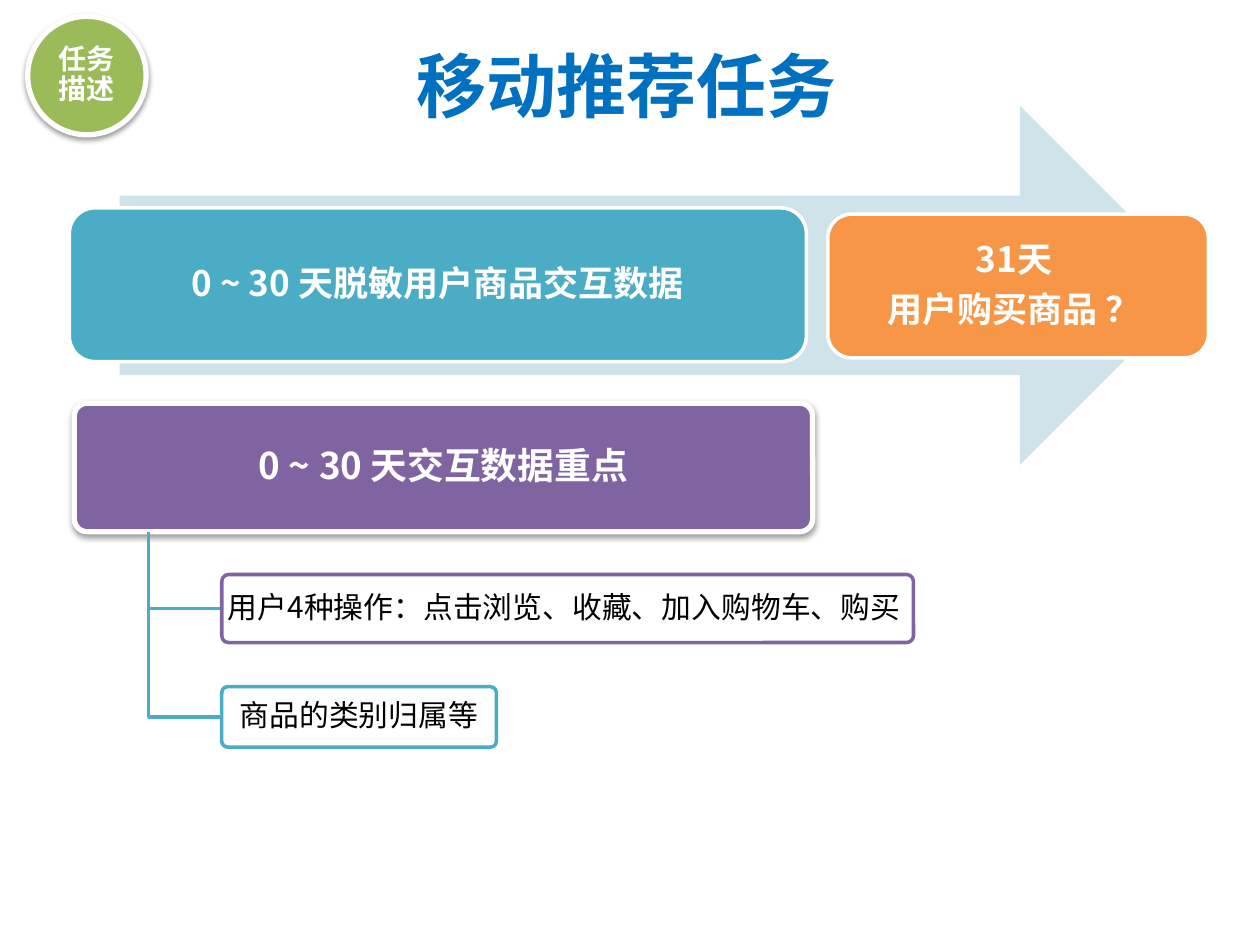
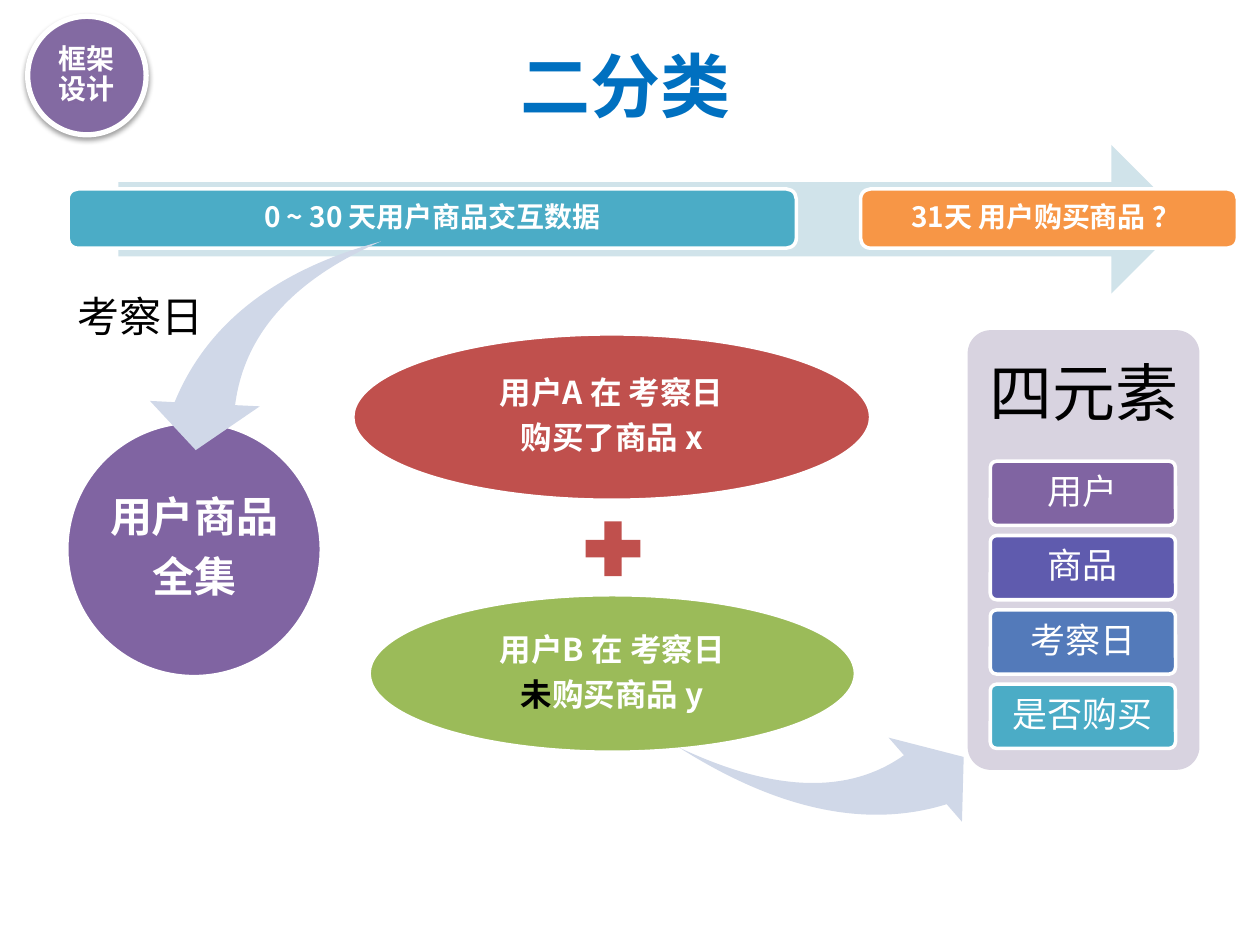
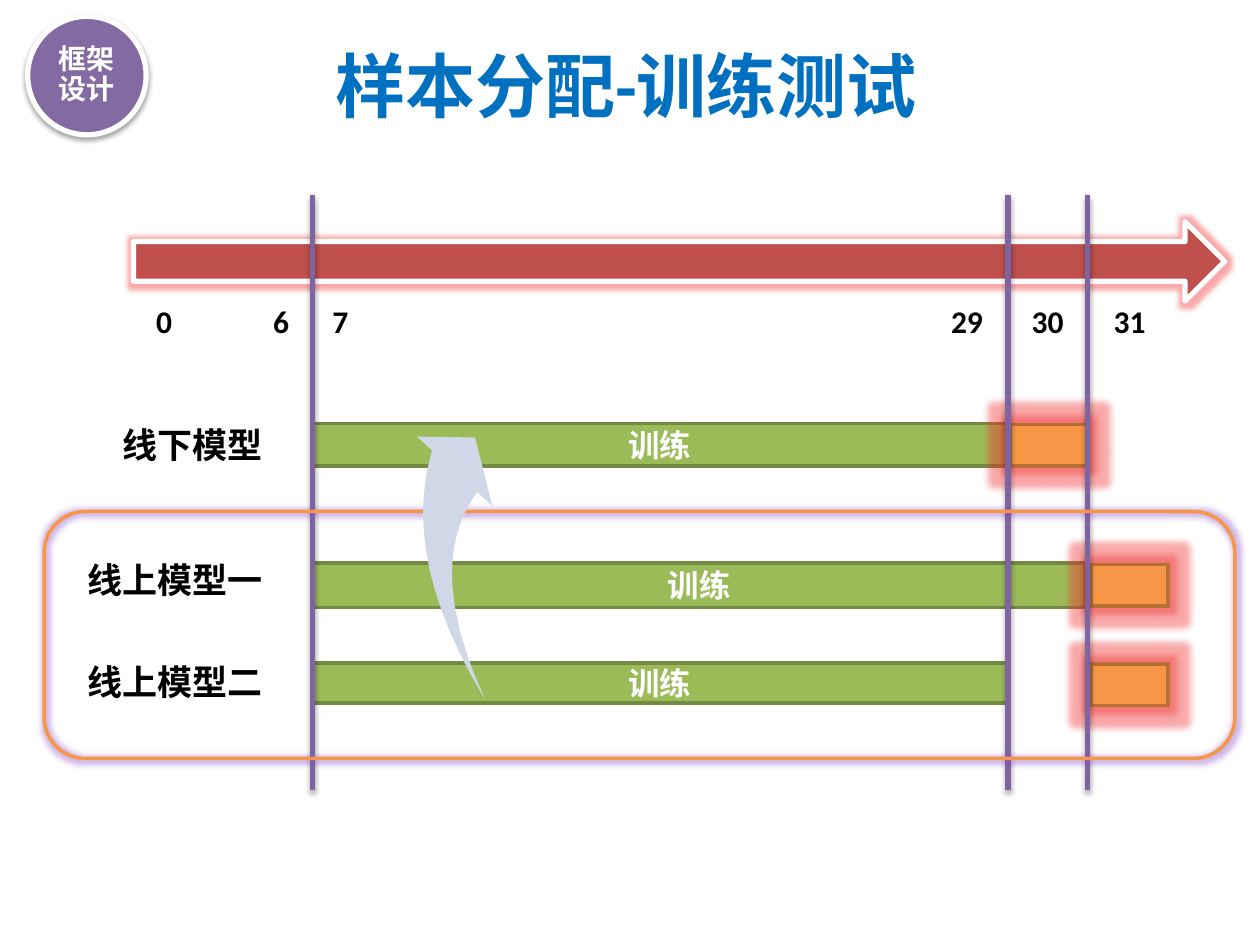
from dataclasses import dataclass
from lxml import etree
from pptx import Presentation
from pptx.dml.color import RGBColor
from pptx.enum import shapes, text
from pptx.oxml.ns import qn
from pptx.util import Inches, Pt

KIND = shapes.MSO_SHAPE
ALIGN = text.PP_ALIGN
ANCHOR = text.MSO_ANCHOR
SANS, LATIN = "Noto Sans CJK SC", "Calibri"
WHITE, BLACK, BLUE = "FFFFFF", "000000", "0070C0"
TEAL, ORANGE, PURPLE = "4BACC6", "F79646", "8064A2"
GREEN, RED = "9BBB59", "C0504D"
PALE, MIST, LILAC = "D0E3EA", "D0D8E8", "D8D3E0"
MOSS, RUST, FLAME = "738A42", "B76F34", "F02A2A"


@dataclass
class Glow:
    color: str
    size: float
    alpha: int = 40


@dataclass
class Shade:
    alpha: int = 38
    blur: float = 3.1
    dist: float = 1.6


@dataclass
class Box:
    """A preset shape, placed in inches, with optional text."""
    kind: KIND
    at: tuple
    fill: str | None = None
    line: str | None = None
    width: float = 2
    alpha: int = 100
    adj: tuple = ()
    rot: float = 0
    flip: bool = False
    effect: Glow | Shade | None = None
    words: str = ""
    size: float = 18
    ink: str = WHITE
    bold: bool = True
    inset: float = 0.03
    space: float = 0.9
    anchor: ANCHOR = ANCHOR.MIDDLE


@dataclass
class Label:
    words: str
    at: tuple
    size: float
    font: str = SANS
    bold: bool = True
    align: ALIGN = ALIGN.CENTER


def rgb(code: str) -> RGBColor:
    return RGBColor.from_string(code)


def style(font, size: float, code: str, bold: bool, name: str = SANS) -> None:
    font.size, font.bold, font.name = Pt(size), bold, name
    font.color.rgb = rgb(code)


def fade(color, alpha: int) -> None:
    etree.SubElement(color, qn("a:alpha"), val=str(alpha * 1000))


def add_effect(item, effect: Glow | Shade | None) -> None:
    """Replace the theme's shadow with the given effect, or with none."""
    group = etree.SubElement(item.element.spPr, qn("a:effectLst"))
    if effect is None:
        return
    if isinstance(effect, Glow):
        node = etree.SubElement(group, qn("a:glow"), rad=str(Pt(effect.size)))
        code = effect.color
    else:
        node = etree.SubElement(group, qn("a:outerShdw"), blurRad=str(Pt(effect.blur)),
                                dist=str(Pt(effect.dist)), dir="5400000", rotWithShape="0")
        code = BLACK
    fade(etree.SubElement(node, qn("a:srgbClr"), val=code), effect.alpha)


def paint(item, fill: str | None, line: str | None, width: float) -> None:
    if fill:
        item.fill.solid()
        item.fill.fore_color.rgb = rgb(fill)
    else:
        item.fill.background()
    if line:
        item.line.color.rgb = rgb(line)
        item.line.width = Pt(width)
    else:
        item.line.fill.background()


def draw_box(slide, box: Box):
    item = slide.shapes.add_shape(box.kind, *map(Inches, box.at))
    for i, value in enumerate(box.adj):
        item.adjustments[i] = value
    item.rotation = box.rot
    if box.flip:
        item.element.spPr.find(qn("a:xfrm")).set("flipH", "1")
    paint(item, box.fill, box.line, box.width)
    if box.alpha < 100:
        fade(item.element.spPr.find(qn("a:solidFill"))[0], box.alpha)
    add_effect(item, box.effect)
    if box.words:
        frame = item.text_frame
        frame.text, frame.word_wrap = box.words, True
        frame.vertical_anchor = box.anchor
        frame.margin_left = frame.margin_right = Inches(box.inset)
        frame.margin_top = frame.margin_bottom = Inches(box.inset)
        for para in frame.paragraphs:
            para.alignment, para.line_spacing = ALIGN.CENTER, box.space
            para.space_after = Pt(0.35 * box.size)
            style(para.runs[0].font, box.size, box.ink, box.bold)
    return item


def draw_label(slide, label: Label) -> None:
    frame = slide.shapes.add_textbox(*map(Inches, label.at)).text_frame
    frame.text, frame.word_wrap = label.words, False
    para = frame.paragraphs[0]
    para.alignment = label.align
    style(para.runs[0].font, label.size, BLACK, label.bold, label.font)


def draw_rule(slide, x: float, top: float, end: float) -> None:
    rule = slide.shapes.add_connector(shapes.MSO_CONNECTOR.STRAIGHT, *map(Inches, (x, top, x, end)))
    rule.line.color.rgb = rgb(PURPLE)
    rule.line.width = Pt(3)
    add_effect(rule, Shade(35, 3.1, 1.8))


def draw_elbow(slide, x: float, top: float, right: float, end: float) -> None:
    pen = slide.shapes.build_freeform(Inches(x), Inches(top))
    pen.add_line_segments([(Inches(x), Inches(end)), (Inches(right), Inches(end))], close=False)
    elbow = pen.convert_to_shape()
    paint(elbow, None, TEAL, 2)
    add_effect(elbow, None)


def start_slide(deck, title: str, left: float, width: float, badge: str, fill: str, alpha: int):
    """Add a slide with its title and its round badge."""
    slide = deck.slides.add_slide(deck.slide_layouts[5])
    head = slide.shapes.title
    head.left, head.top, head.width, head.height = map(Inches, (left, 0.29, width, 0.77))
    frame = head.text_frame
    frame.text, frame.word_wrap = title, True
    frame.auto_size = text.MSO_AUTO_SIZE.NONE
    frame.vertical_anchor = ANCHOR.TOP
    para = frame.paragraphs[0]
    para.alignment = ALIGN.CENTER
    style(para.runs[0].font, 40, BLUE, True, LATIN)
    draw_box(slide, Box(KIND.OVAL, (0.22, 0.13, 0.94, 0.94), fill, WHITE, 3, alpha,
                        effect=Shade(), words=badge, size=16, inset=0.02))
    return slide


def task_slide(deck) -> None:
    slide = start_slide(deck, "移动推荐任务", 3.18, 3.58, "任务描述", GREEN, 100)
    draw_box(slide, Box(KIND.RIGHT_ARROW, (0.95, 0.84, 8.57, 2.85), PALE))
    draw_box(slide, Box(KIND.ROUNDED_RECTANGLE, (0.55, 1.65, 5.85, 1.22), TEAL, WHITE,
                        words="0 ~ 30 天脱敏用户商品交互数据", size=20, inset=0.08))
    draw_box(slide, Box(KIND.ROUNDED_RECTANGLE, (6.57, 1.7, 3.02, 1.14), ORANGE, WHITE,
                        words="31天 \n用户购买商品 ？ ", size=20, inset=0.08))
    draw_box(slide, Box(KIND.ROUNDED_RECTANGLE, (0.59, 3.2, 5.86, 1.02), PURPLE, WHITE, 3,
                        adj=(0.1,), effect=Shade(), words="0 ~ 30 天交互数据重点", size=21))
    points = [
        ("用户4种操作：点击浏览、收藏、加入购物车、购买 ", 4.56, 5.49, 0.54, PURPLE),
        ("商品的类别归属等", 5.45, 2.18, 0.48, TEAL),
    ]
    for words, top, width, height, line in points:
        draw_elbow(slide, 1.18, 4.22, 1.76, top + height / 2)
        draw_box(slide, Box(KIND.ROUNDED_RECTANGLE, (1.76, top, width, height), WHITE, line,
                            alpha=90, adj=(0.1,), words=words, size=17, ink=BLACK, bold=False))


def class_slide(deck) -> None:
    slide = start_slide(deck, "二分类", 4.02, 1.89, "框架设计", PURPLE, 90)
    draw_box(slide, Box(KIND.RIGHT_ARROW, (0.94, 1.15, 8.47, 1.18), PALE))
    spans = [("0 ~ 30 天用户商品交互数据", 0.54, 5.78, TEAL),
             ("31天 用户购买商品 ？ ", 6.83, 2.99, ORANGE)]
    for words, left, width, fill in spans:
        draw_box(slide, Box(KIND.ROUNDED_RECTANGLE, (left, 1.5, width, 0.47), fill, WHITE,
                            words=words, size=16, inset=0.07))

    draw_box(slide, Box(KIND.OVAL, (2.8, 2.65, 4.11, 1.32), RED, WHITE,
                        words="用户A 在 考察日\n购买了商品 x"))
    draw_box(slide, Box(KIND.MATH_PLUS, (4.57, 4.06, 0.59, 0.59), RED))
    unsold = draw_box(slide, Box(KIND.OVAL, (2.93, 4.72, 3.86, 1.25), GREEN, WHITE,
                                 words="用户B 在 考察日\n未"))
    para = unsold.text_frame.paragraphs[1]
    para.runs[0].font.color.rgb = rgb(BLACK)
    rest = para.add_run()
    rest.text = "购买商品 y"
    style(rest.font, 18, WHITE, True)
    draw_box(slide, Box(KIND.OVAL, (0.53, 3.35, 2.02, 2.02), PURPLE, WHITE,
                        words="用户商品\n全集", size=24))
    draw_box(slide, Box(KIND.SWOOSH_ARROW, (1.34, 1.8, 1.56, 1.91), MIST,
                        adj=(0.25, 0.25), rot=266.4, flip=True))
    draw_label(slide, Label("考察日", (0.51, 2.26, 1.21, 0.5), 24, bold=False))

    draw_box(slide, Box(KIND.ROUNDED_RECTANGLE, (7.68, 2.62, 1.84, 3.49), LILAC, adj=(0.1,)))
    draw_box(slide, Box(KIND.RECTANGLE, (7.68, 2.62, 1.84, 1.05), words="四元素", size=36,
                        ink=BLACK, bold=False, inset=0.15))
    parts = [("用户", PURPLE), ("商品", "5F5BAE"), ("考察日", "537ABA"), ("是否购买", TEAL)]
    for i, (words, fill) in enumerate(parts):
        draw_box(slide, Box(KIND.ROUNDED_RECTANGLE, (7.86, 3.66 + 0.59 * i, 1.47, 0.51), fill,
                            WHITE, adj=(0.1,), words=words, size=20, bold=False, inset=0.04))
    draw_box(slide, Box(KIND.SWOOSH_ARROW, (5.91, 5.06, 1.47, 2.05), MIST,
                        adj=(0.25, 0.25), rot=132.5, flip=True))


def sample_slide(deck) -> None:
    slide = start_slide(deck, "样本分配-训练测试", 2.53, 4.88, "框架设计", PURPLE, 90)
    draw_box(slide, Box(KIND.RIGHT_ARROW, (1.06, 1.76, 8.66, 0.63), RED, WHITE, 3,
                        effect=Glow(FLAME, 5)))
    models = [
        ("线下模型", 0.87, 1.32, 3.31, 3.36, 0.34, 5.51, 8.02),
        ("线上模型一", 0.59, 1.6, 4.38, 4.47, 0.35, 6.14, 8.66),
        ("线上模型二", 0.59, 1.6, 5.19, 5.26, 0.32, 5.51, 8.66),
    ]
    for name, left, width, head, top, height, train, test in models:
        draw_label(slide, Label(name, (left, head, width, 0.44), 20))
        draw_box(slide, Box(KIND.RECTANGLE, (2.48, top, train, height), GREEN, MOSS,
                            words="训练", space=1))
        draw_box(slide, Box(KIND.RECTANGLE, (test, top + 0.01, 0.61, 0.33), ORANGE, RUST,
                            effect=Glow(FLAME, 8)))
    for x in (2.48, 8, 8.63):
        draw_rule(slide, x, 1.55, 6.27)
    days = {"0": 1.14, "6": 2.07, "7": 2.54, "29": 7.45, "30": 8.09, "31": 8.74}
    for day, left in days.items():
        width = 0.2 + 0.13 * len(day)
        draw_label(slide, Label(day, (left, 2.35, width, 0.4), 18, LATIN, align=ALIGN.LEFT))
    draw_box(slide, Box(KIND.ROUNDED_RECTANGLE, (0.35, 4.06, 9.45, 1.96), line=ORANGE,
                        effect=Glow("8344C2", 5)))
    draw_box(slide, Box(KIND.SWOOSH_ARROW, (3.06, 3.43, 1.3, 1.93), MIST,
                        adj=(0.25, 0.25), rot=319.1))


def main() -> None:
    deck = Presentation()
    deck.slide_width, deck.slide_height = Inches(10), Inches(7.5)
    for build in (task_slide, class_slide, sample_slide):
        build(deck)
    deck.save("out.pptx")


if __name__ == "__main__":
    main()
